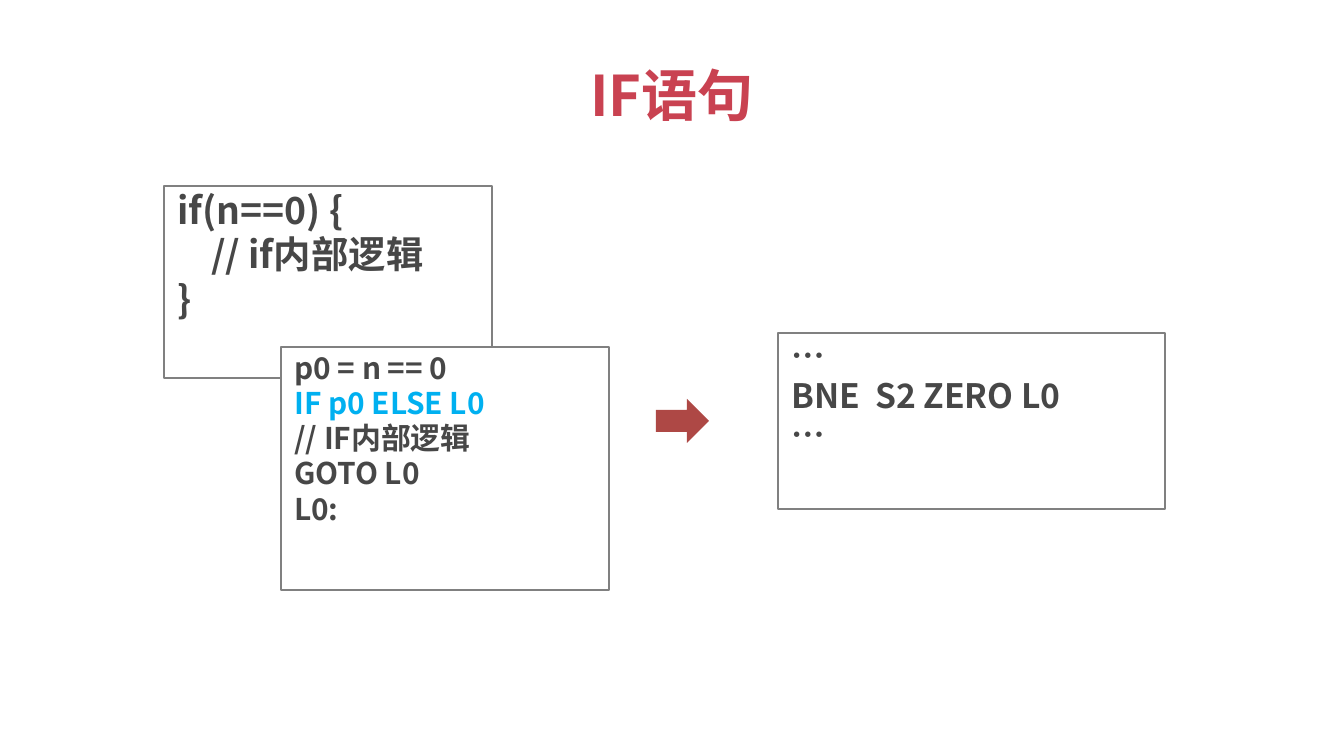
from pptx import Presentation
from pptx.dml.color import RGBColor
from pptx.enum.shapes import MSO_SHAPE
from pptx.enum.text import MSO_ANCHOR, PP_ALIGN
from pptx.util import Emu, Pt

SCALE = 914400 / 134.4
FONT = "Noto Sans CJK SC"
RED, DARK, BLUE = "C94251", "474747", "00B0F0"


def px(n):
    return Emu(round(n * SCALE))


def color(code):
    return RGBColor.from_string(code)


def write(frame, lines, size, ink=DARK, align=PP_ALIGN.LEFT,
          anchor=MSO_ANCHOR.TOP, marks=None, indents=None, lead=0.9):
    """Fill a frame; marks and indents map a line number to a colour or pixels."""
    frame.word_wrap = True
    frame.vertical_anchor = anchor
    for i, line in enumerate(lines):
        para = frame.paragraphs[0] if i == 0 else frame.add_paragraph()
        para.alignment = align
        para.line_spacing = lead
        para.space_before = Pt(size / 10 if i else 0)
        inset = (indents or {}).get(i)
        if inset:
            para._p.get_or_add_pPr().set("marL", str(px(inset)))
        run = para.add_run()
        run.text = line
        font = run.font
        font.name, font.size, font.bold = FONT, Pt(size), True
        font.color.rgb = color((marks or {}).get(i, ink))
        props = run._r.get_or_add_rPr()
        east = props.makeelement(
            "{http://schemas.openxmlformats.org/drawingml/2006/main}ea",
            {"typeface": FONT})
        props.find("{*}latin").addnext(east)


def title(slide, box, words):
    area = slide.shapes.add_textbox(*map(px, box))
    write(area.text_frame, [words], 30, ink=RED, align=PP_ALIGN.CENTER,
          anchor=MSO_ANCHOR.MIDDLE, lead=1)


def panel(slide, box, lines, size, fill=None, **style):
    rect = slide.shapes.add_shape(MSO_SHAPE.RECTANGLE, *map(px, box))
    rect.shadow.inherit = False
    if fill:
        rect.fill.solid()
        rect.fill.fore_color.rgb = color(fill)
    else:
        rect.fill.background()
    rect.line.color.rgb = color("808080")
    rect.line.width = Pt(0.75)
    write(rect.text_frame, lines, size, **style)


def arrow(slide, box):
    shape = slide.shapes.add_shape(MSO_SHAPE.RIGHT_ARROW, *map(px, box))
    shape.shadow.inherit = False
    shape.fill.solid()
    shape.fill.fore_color.rgb = color("AE4845")
    shape.line.fill.background()


deck = Presentation()
deck.slide_width, deck.slide_height = px(1344), px(756)
slide = deck.slides.add_slide(deck.slide_layouts[6])

title(slide, (67, 31, 1210, 126), "IF语句")

# Source code
panel(slide, (164, 186, 328, 192), ["if(n==0) {", "// if内部逻辑", "}"], 20,
      indents={1: 34})

# Intermediate code
panel(slide, (281, 347, 328, 243),
      ["p0 = n == 0", "IF p0 ELSE L0", "// IF内部逻辑", "GOTO L0", "L0:"], 16,
      fill="FFFFFF", marks={1: BLUE})

# Machine code
arrow(slide, (656, 399, 53, 44))
panel(slide, (778, 333, 387, 176), ["…", "BNE  S2 ZERO L0", "…"], 18)

deck.save("out.pptx")
